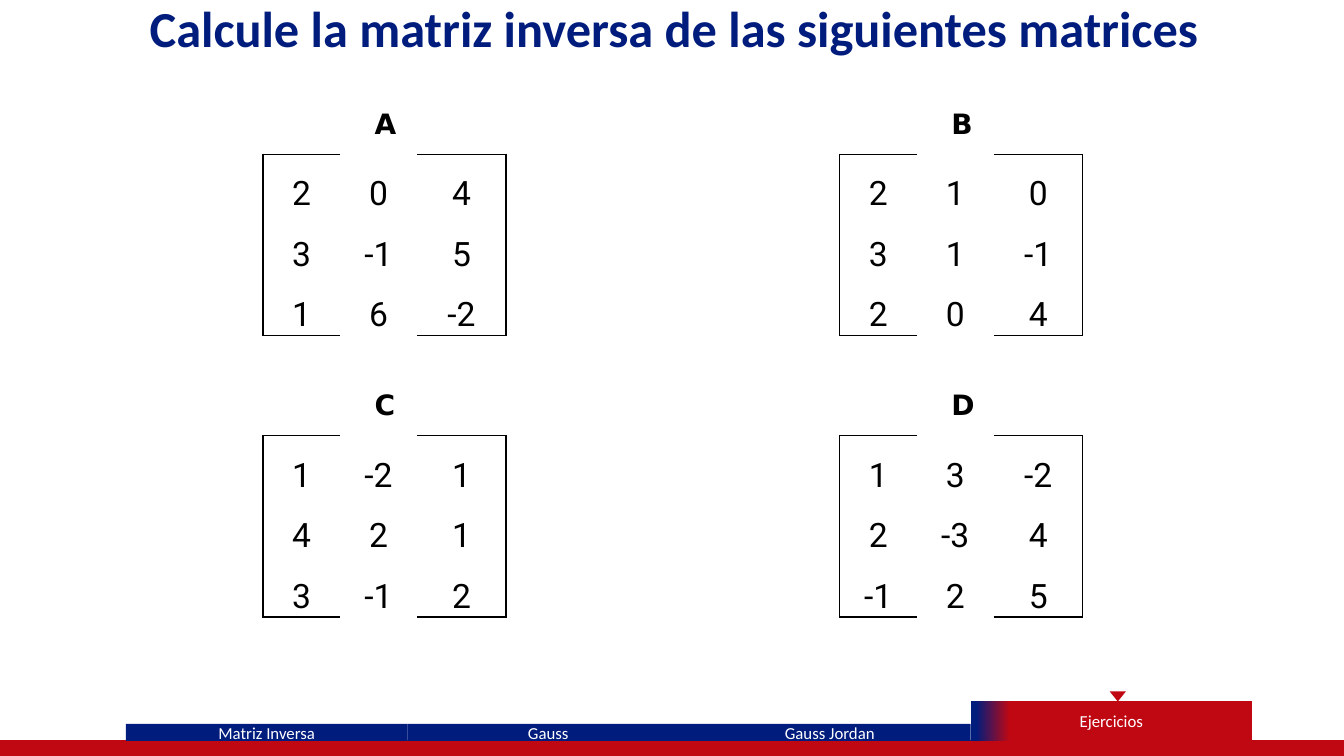
from dataclasses import dataclass

import pptx
import pptx.dml.color
import pptx.enum.shapes
import pptx.enum.text
import pptx.oxml
import pptx.oxml.ns
import pptx.util

Pt = pptx.util.Pt
Shape = pptx.enum.shapes.MSO_SHAPE
Align = pptx.enum.text.PP_ALIGN
Anchor = pptx.enum.text.MSO_ANCHOR

NAVY, RED, WHITE, BLACK = "001C7D", "C00812", "FFFFFF", "000000"
COLUMN_WIDTHS = (55, 55, 63.6)
ROW_HEIGHT = 29.5
TAB_LEFT, TAB_WIDTH = 90, 201.1


@dataclass
class Matrix:
    name: str
    left: float
    top: float
    rows: tuple[tuple[int, ...], ...]


@dataclass
class Tab:
    label: str
    top: float = 517
    height: float = 12.2
    active: bool = False


MATRICES = (
    Matrix("A", 187.9, 110.2, ((2, 0, 4), (3, -1, 5), (1, 6, -2))),
    Matrix("B", 599.8, 110.2, ((2, 1, 0), (3, 1, -1), (2, 0, 4))),
    Matrix("C", 187.9, 311, ((1, -2, 1), (4, 2, 1), (3, -1, 2))),
    Matrix("D", 599.8, 311, ((1, 3, -2), (2, -3, 4), (-1, 2, 5))),
)
TABS = (
    Tab("Matriz Inversa"),
    Tab("Gauss"),
    Tab("Gauss Jordan"),
    Tab("Ejercicios", top=501, height=28.2, active=True),
)


def color(value: str) -> pptx.dml.color.RGBColor:
    return pptx.dml.color.RGBColor.from_string(value)


def write(frame, text: str, name: str, size: float, ink: str,
          bold: bool = False, align=Align.CENTER):
    """Fill a text frame with one styled paragraph."""
    para = frame.paragraphs[0]
    para.add_run().text = text
    para.alignment = align
    para.font.name = name
    para.font.size = Pt(size)
    para.font.bold = bold
    para.font.color.rgb = color(ink)
    return para


def add_block(page, kind, left: float, top: float, width: float,
              height: float, fill: str):
    block = page.shapes.add_shape(kind, Pt(left), Pt(top), Pt(width), Pt(height))
    block.shadow.inherit = False
    block.fill.solid()
    block.fill.fore_color.rgb = color(fill)
    block.line.fill.background()
    return block


def add_text(page, left: float, top: float, width: float, height: float,
             text: str, name: str, size: float, ink: str, align) -> None:
    box = page.shapes.add_textbox(Pt(left), Pt(top), Pt(width), Pt(height))
    box.text_frame.word_wrap = True
    box.text_frame.auto_size = pptx.enum.text.MSO_AUTO_SIZE.SHAPE_TO_FIT_TEXT
    write(box.text_frame, text, name, size, ink, True, align)


def set_borders(cell, drawn: dict[str, bool]) -> None:
    """Draw the chosen sides (L, R, T, B) and clear the others."""
    properties = cell._tc.get_or_add_tcPr()
    for index, (side, visible) in enumerate(drawn.items()):
        paint = (f'<a:solidFill><a:srgbClr val="{BLACK}"/></a:solidFill>'
                 if visible else "<a:noFill/>")
        properties.insert(index, pptx.oxml.parse_xml(
            f'<a:ln{side} {pptx.oxml.ns.nsdecls("a")} w="{Pt(1)}">{paint}</a:ln{side}>'))


def add_matrix(page, matrix: Matrix) -> None:
    last_row, last_column = len(matrix.rows) - 1, len(COLUMN_WIDTHS) - 1
    table = page.shapes.add_table(
        len(matrix.rows), len(COLUMN_WIDTHS), Pt(matrix.left), Pt(matrix.top),
        Pt(sum(COLUMN_WIDTHS)), Pt(ROW_HEIGHT * len(matrix.rows))).table
    table.first_row = table.horz_banding = False
    for column, width in zip(table.columns, COLUMN_WIDTHS):
        column.width = Pt(width)
    for r, values in enumerate(matrix.rows):
        table.rows[r].height = Pt(ROW_HEIGHT)
        for c, value in enumerate(values):
            cell = table.cell(r, c)
            cell.fill.background()
            cell.vertical_anchor = Anchor.MIDDLE
            cell.margin_left = cell.margin_right = Pt(5)
            cell.margin_top = cell.margin_bottom = Pt(0)
            para = write(cell.text_frame, str(value), "Roboto", 24, BLACK)
            para.line_spacing = 1.5
            para.space_after = Pt(1)
            # The middle column stays open, so the frame reads as brackets
            outer = c in (0, last_column)
            set_borders(cell, {"L": c == 0, "R": c == last_column,
                               "T": outer and r == 0,
                               "B": outer and r == last_row})
    add_text(page, matrix.left + 72.7, matrix.top - 37.5, 45.4, 31.7,
             matrix.name, "DejaVu Sans", 20, BLACK, Align.LEFT)


def add_tab(page, tab: Tab, index: int) -> None:
    block = add_block(page, Shape.RECTANGLE, TAB_LEFT + index * TAB_WIDTH,
                      tab.top, TAB_WIDTH, tab.height, NAVY)
    if tab.active:
        block.fill.gradient()
        block.fill.gradient_angle = 0
        stops = ((0.02, NAVY), (0.14, RED))
        for stop, (position, value) in zip(block.fill.gradient_stops, stops):
            stop.position = position
            stop.color.rgb = color(value)
    block.text_frame.word_wrap = True
    block.text_frame.vertical_anchor = Anchor.MIDDLE
    write(block.text_frame, tab.label, "Calibri", 12, WHITE)


def main() -> None:
    deck = pptx.Presentation()
    deck.slide_width, deck.slide_height = Pt(960), Pt(540)
    page = deck.slides.add_slide(deck.slide_layouts[6])

    # Footer bar and navigation tabs
    bar = add_block(page, Shape.FLOWCHART_PROCESS, -0.7, 529.2, 961.2, 10.8, RED)
    bar.line.color.rgb = color(RED)
    bar.line.width = Pt(1)
    for index, tab in enumerate(TABS):
        add_tab(page, tab, index)
    marker = add_block(page, Shape.ISOSCELES_TRIANGLE, 792.7, 493.9, 11.5, 7.2, RED)
    marker.rotation = 180

    # Title
    add_text(page, 27.4, -5.8, 908.6, 51,
             "Calcule la matriz inversa de las siguientes matrices",
             "Calibri", 36, NAVY, Align.CENTER)

    # Exercises
    for matrix in MATRICES:
        add_matrix(page, matrix)

    deck.save("out.pptx")


if __name__ == "__main__":
    main()
